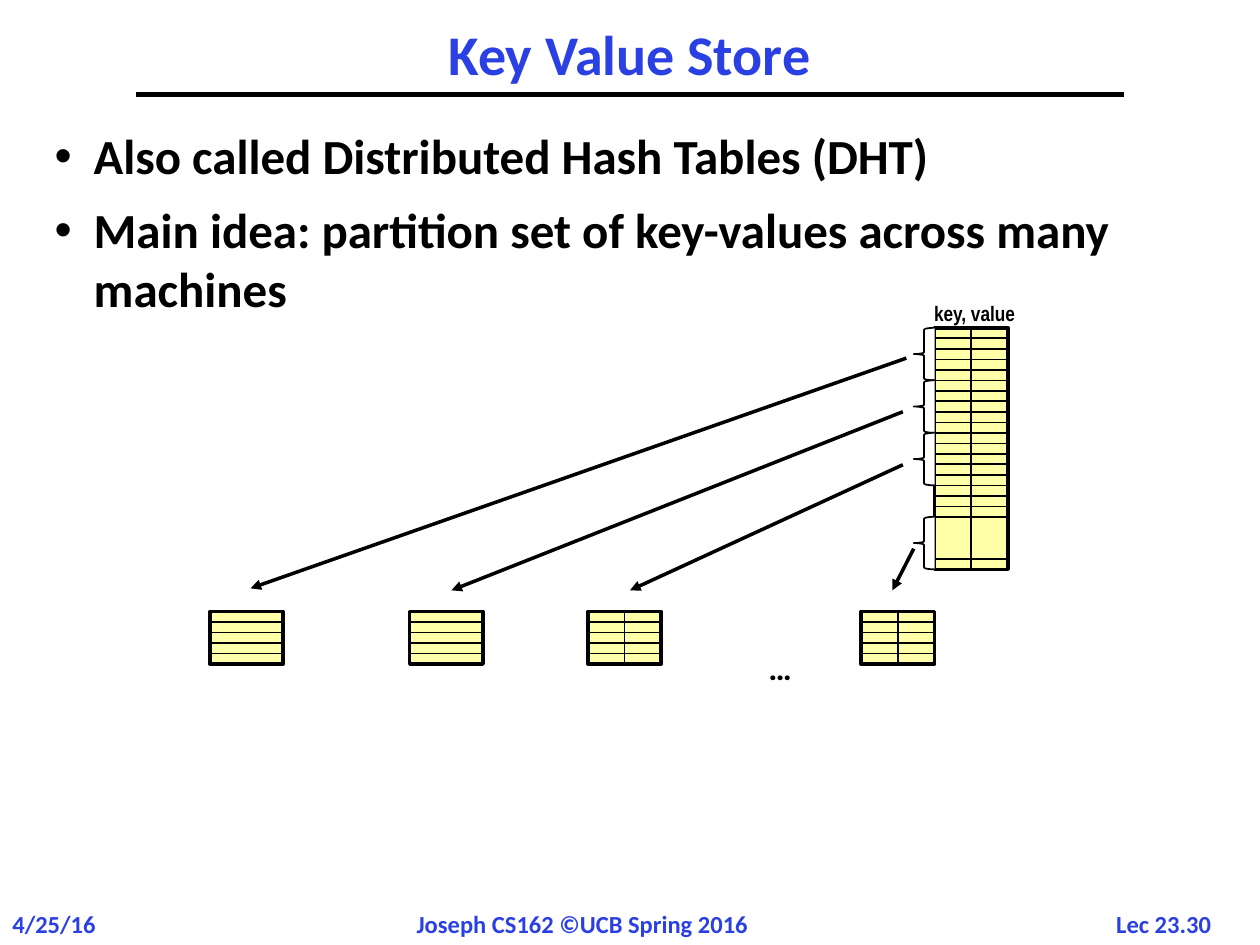
from dataclasses import dataclass

from lxml.etree import SubElement
from pptx import Presentation
from pptx.dml.color import RGBColor
from pptx.enum.shapes import MSO_CONNECTOR, MSO_SHAPE
from pptx.enum.text import MSO_ANCHOR, PP_ALIGN
from pptx.oxml.ns import qn
from pptx.shapes.autoshape import Shape
from pptx.shapes.connector import Connector
from pptx.util import Cm, Pt

BLACK = RGBColor(0x00, 0x00, 0x00)
WHITE = RGBColor(0xFF, 0xFF, 0xFF)
BLUE = RGBColor(0x2A, 0x40, 0xE2)
YELLOW = RGBColor(0xFF, 0xFF, 0xAA)

# Grid of the key-value tables, in centimetres
ROW_HEIGHT = 2.54 / 12
TABLE_WIDTH = 1.48
PARTITION_ROWS = 5
STORE_LEFT, STORE_TOP = 18.84, 6.61
NODE_TOP = 12.33
BRACE_WIDTH = 0.42


@dataclass
class KeyValueTable:
    left: float
    top: float
    rows: int
    ruled_rows: list[int]
    has_column_line: bool = True


@dataclass
class Label:
    text: str
    left: float
    top: float
    width: float
    height: float
    size: int
    font: str = "Calibri"
    color: RGBColor = BLACK
    alignment: PP_ALIGN = PP_ALIGN.LEFT
    wrap: bool = False
    anchor: MSO_ANCHOR = MSO_ANCHOR.TOP
    line_spacing: float = 1.0


@dataclass
class Arrow:
    start_x: float
    start_y: float
    end_x: float
    end_y: float


def add_line(shapes, start_x: float, start_y: float, end_x: float, end_y: float,
             width: float) -> Connector:
    line = shapes.add_connector(MSO_CONNECTOR.STRAIGHT, Cm(start_x), Cm(start_y),
                                Cm(end_x), Cm(end_y))
    line.line.color.rgb = BLACK
    line.line.width = Pt(width)
    SubElement(line._element.spPr, qn("a:effectLst"))
    return line


def add_outlined_shape(shapes, kind: MSO_SHAPE, left: float, top: float, width: float,
                       height: float, fill: RGBColor, line_width: float) -> Shape:
    shape = shapes.add_shape(kind, Cm(left), Cm(top), Cm(width), Cm(height))
    shape.shadow.inherit = False
    shape.fill.solid()
    shape.fill.fore_color.rgb = fill
    shape.line.color.rgb = BLACK
    shape.line.width = Pt(line_width)
    return shape


def add_key_value_table(slide, table: KeyValueTable) -> None:
    shapes = slide.shapes.add_group_shape().shapes
    right = table.left + TABLE_WIDTH
    height = table.rows * ROW_HEIGHT
    add_outlined_shape(shapes, MSO_SHAPE.RECTANGLE, table.left, table.top,
                       TABLE_WIDTH, height, YELLOW, 2)
    if table.has_column_line:
        middle = table.left + TABLE_WIDTH / 2
        add_line(shapes, middle, table.top, middle, table.top + height, 1)
    for row in table.ruled_rows:
        y = table.top + row * ROW_HEIGHT
        add_line(shapes, table.left, y, right, y, 1)


def add_arrow(slide, arrow: Arrow) -> None:
    line = add_line(slide.shapes, arrow.start_x, arrow.start_y, arrow.end_x, arrow.end_y, 2)
    SubElement(line.line._get_or_add_ln(), qn("a:tailEnd"), type="triangle")


def add_label(slide, label: Label) -> Shape:
    box = slide.shapes.add_textbox(Cm(label.left), Cm(label.top),
                                   Cm(label.width), Cm(label.height))
    frame = box.text_frame
    frame.word_wrap = label.wrap
    frame.vertical_anchor = label.anchor
    frame.text = label.text
    for paragraph in frame.paragraphs:
        paragraph.alignment = label.alignment
        paragraph.line_spacing = label.line_spacing
        paragraph.font.name = label.font
        paragraph.font.size = Pt(label.size)
        paragraph.font.bold = True
        paragraph.font.color.rgb = label.color
    return box


def add_bullets(slide, items: list[str]) -> None:
    box = slide.shapes.add_textbox(Cm(0.85), Cm(2.54), Cm(24.33), Cm(4.24))
    frame = box.text_frame
    frame.word_wrap = True
    for index, item in enumerate(items):
        paragraph = frame.add_paragraph() if index else frame.paragraphs[0]
        paragraph.text = item
        properties = paragraph._p.get_or_add_pPr()
        properties.set("marL", str(Cm(0.79)))
        properties.set("indent", str(-Cm(0.79)))
        paragraph.line_spacing = 1.0 if index else 0.9
        paragraph.space_before = Pt(8.4 if index else 0)
        SubElement(properties, qn("a:buFont"), typeface="Arial")
        SubElement(properties, qn("a:buChar"), char="•")
        paragraph.font.name = "Calibri"
        paragraph.font.size = Pt(28)
        paragraph.font.bold = True
        paragraph.font.color.rgb = BLACK


def main() -> None:
    presentation = Presentation()
    presentation.slide_width, presentation.slide_height = Cm(25.4), Cm(19.05)
    slide = presentation.slides.add_slide(presentation.slide_layouts[6])

    # Footer, with a date box wide enough for the whole date
    for label in (
        Label("Lec 23.30", 22.15, 18.2, 2.62, 0.84, 14, color=BLUE,
              alignment=PP_ALIGN.CENTER),
        Label("4/25/16", 0, 18.2, 2.6, 0.84, 14, color=BLUE),
        Label("Joseph CS162 ©UCB Spring 2016", 8.15, 18.2, 7.4, 0.84, 14, color=BLUE),
    ):
        add_label(slide, label)

    # Title, rule and bullets
    add_line(slide.shapes, 2.74, 1.91, 22.66, 1.91, 3)
    add_label(slide, Label("Key Value Store", 2.75, 0.43, 19.89, 1.47, 32, color=BLUE,
                           alignment=PP_ALIGN.CENTER, wrap=True,
                           anchor=MSO_ANCHOR.MIDDLE, line_spacing=0.9))
    add_bullets(slide, [
        "Also called Distributed Hash Tables (DHT)",
        "Main idea: partition set of key-values across many machines",
    ])

    # Full store, with a gap before its last row
    add_key_value_table(slide, KeyValueTable(STORE_LEFT, STORE_TOP, 23,
                                             [*range(1, 19), 22]))

    # One partition on each machine
    for left, has_column_line in ((17.36, True), (4.23, False), (8.26, False), (11.85, True)):
        add_key_value_table(slide, KeyValueTable(left, NODE_TOP, PARTITION_ROWS,
                                                 list(range(1, PARTITION_ROWS)),
                                                 has_column_line))

    # Braces around the partitions of the store
    for first_row in (0, 5, 10, 18):
        add_outlined_shape(slide.shapes, MSO_SHAPE.LEFT_BRACE, STORE_LEFT - BRACE_WIDTH,
                           STORE_TOP + first_row * ROW_HEIGHT, BRACE_WIDTH,
                           PARTITION_ROWS * ROW_HEIGHT, WHITE, 1)
    add_label(slide, Label("key, value", 18.58, 5.93, 2.16, 0.76, 12, "Arial Narrow"))

    # Arrows from the partitions to the machines
    for arrow in (
        Arrow(18.27, 7.22, 5.05, 11.86),
        Arrow(18.2, 8.3, 9.1, 11.9),
        Arrow(18.2, 9.37, 12.7, 11.9),
        Arrow(18.42, 11.06, 17.99, 11.9),
    ):
        add_arrow(slide, arrow)
    add_label(slide, Label("…", 15.24, 12.95, 1.37, 1.27, 18, "Roboto"))

    presentation.save("out.pptx")


if __name__ == "__main__":
    main()
